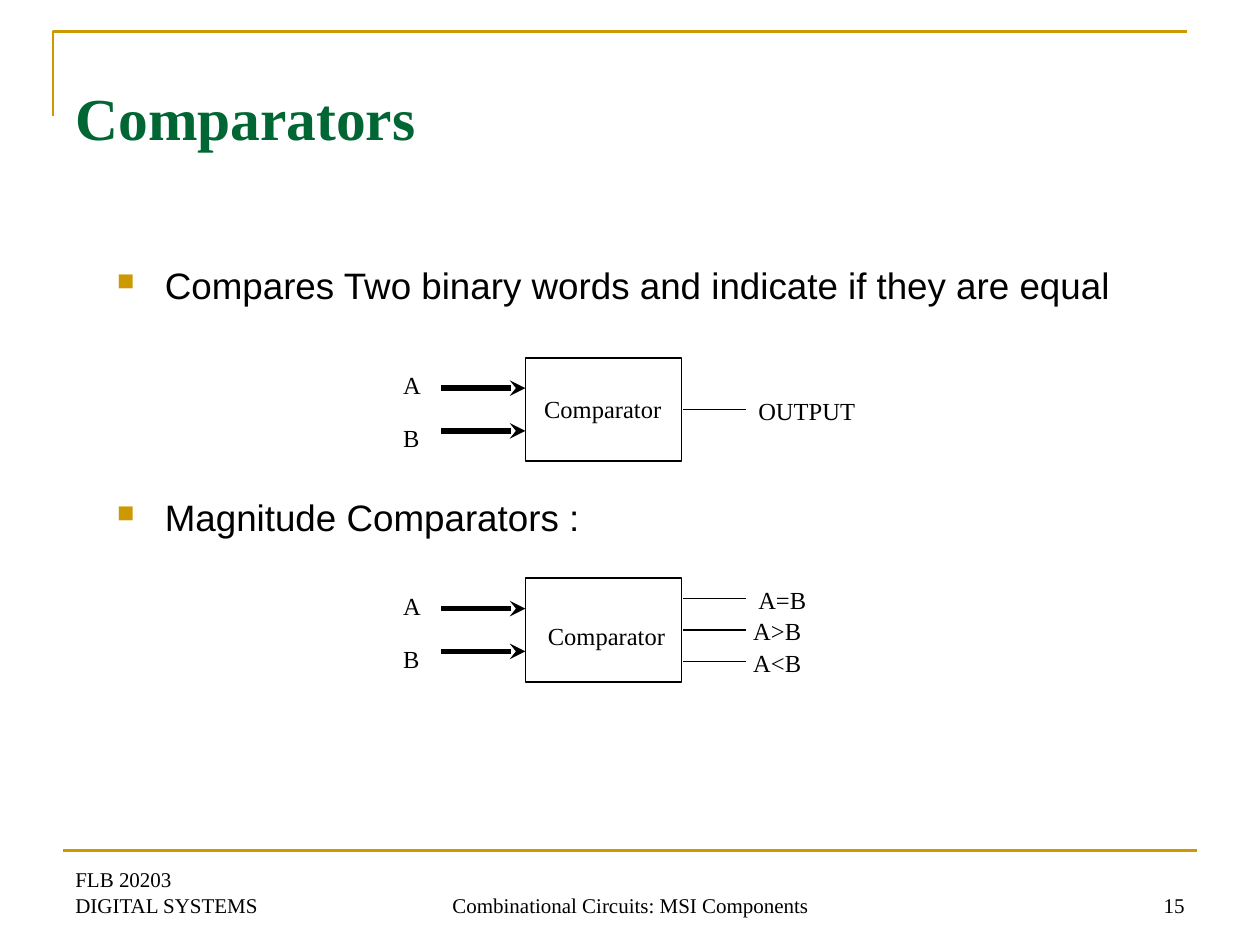
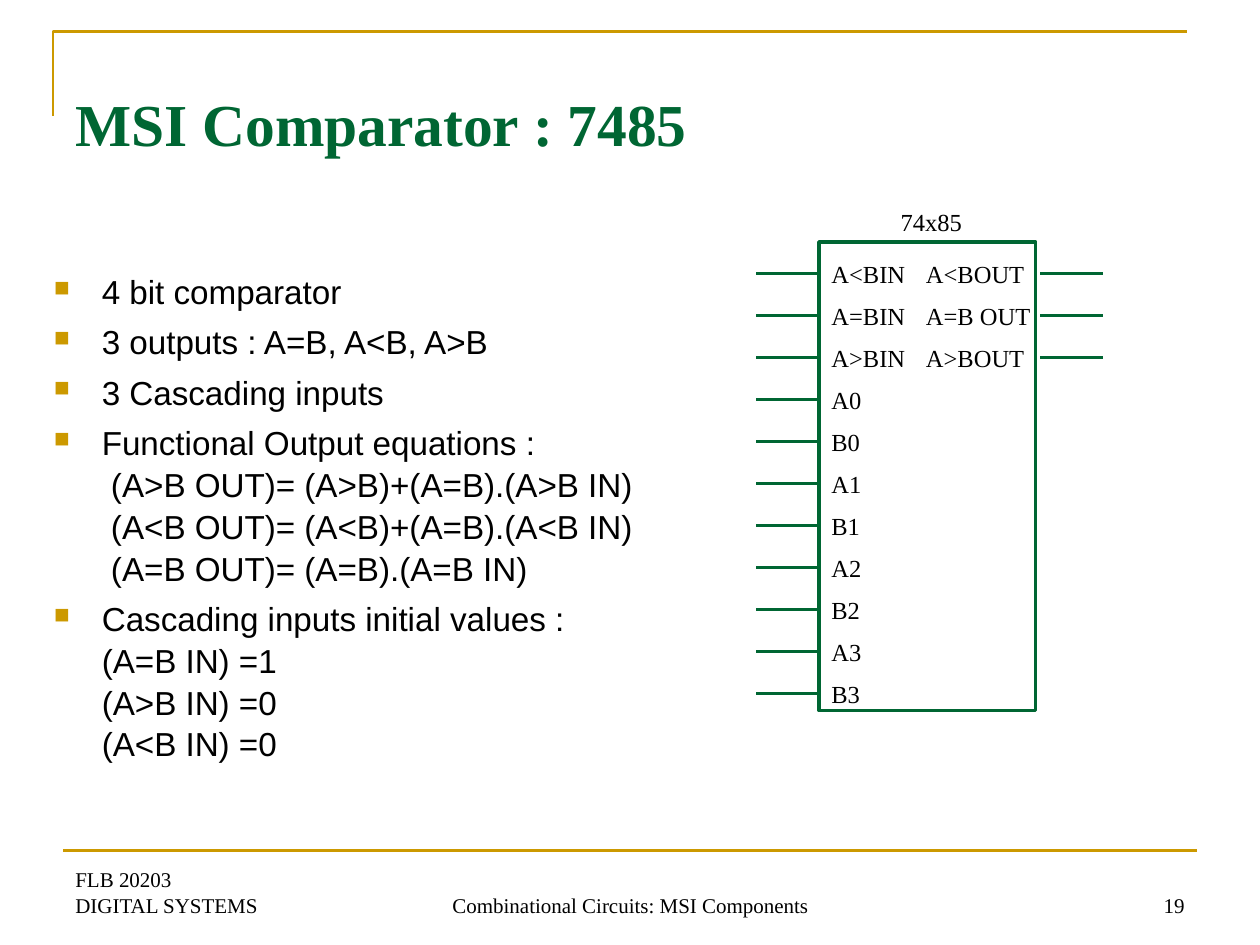
from typing import NamedTuple

from lxml import etree
from pptx import Presentation
from pptx.dml.color import RGBColor
from pptx.enum.shapes import MSO_CONNECTOR, MSO_SHAPE
from pptx.enum.text import MSO_ANCHOR, PP_ALIGN
from pptx.oxml.ns import qn
from pptx.util import Inches, Pt

GOLD = RGBColor(0xCC, 0x99, 0x00)
GREEN = RGBColor(0x00, 0x66, 0x33)
BLACK = RGBColor(0x00, 0x00, 0x00)
SERIF, SANS = "Times New Roman", "Arial"
STRAIGHT, RECTANGLE = MSO_CONNECTOR.STRAIGHT, MSO_SHAPE.RECTANGLE
LEFT, CENTER, RIGHT = PP_ALIGN.LEFT, PP_ALIGN.CENTER, PP_ALIGN.RIGHT
TOP, MIDDLE, BOTTOM = MSO_ANCHOR.TOP, MSO_ANCHOR.MIDDLE, MSO_ANCHOR.BOTTOM
TITLE_ONLY = 5
PIN_PITCH = 1 / 3


class Box(NamedTuple):
    left: float
    top: float
    width: float
    height: float

    def emu(self) -> list:
        return [Inches(v) for v in self]


class Label(NamedTuple):
    text: str
    box: Box


class Footer(NamedTuple):
    text: str
    box: Box
    align: PP_ALIGN


class Output(NamedTuple):
    label: Label
    y: float


class Comparator(NamedTuple):
    top: float
    name: Label
    outputs: list[Output]


def style_text(tf, size: float, font: str, color: RGBColor, bold: bool = False) -> None:
    for p in tf.paragraphs:
        for r in p.runs:
            r.font.size = Pt(size)
            r.font.name = font
            r.font.bold = bold
            r.font.color.rgb = color


def add_text(s, text: str, box: Box, size: float = 14, align: PP_ALIGN = LEFT,
             anchor: MSO_ANCHOR = TOP) -> None:
    tf = s.shapes.add_textbox(*box.emu()).text_frame
    tf.word_wrap = True
    tf.vertical_anchor = anchor
    tf.text = text
    tf.paragraphs[0].alignment = align
    style_text(tf, size, SERIF, BLACK)


def add_line(s, x1: float, y1: float, x2: float, y2: float, color: RGBColor,
             width: float, arrow: bool = False) -> None:
    line = s.shapes.add_connector(STRAIGHT, *map(Inches, (x1, y1, x2, y2)))
    line.line.color.rgb = color
    line.line.width = Pt(width)
    if arrow:
        etree.SubElement(line.line._get_or_add_ln(), qn("a:headEnd"), type="stealth")
    etree.SubElement(line._element.spPr, qn("a:effectLst"))


def outline(sp, color: RGBColor, width: float) -> None:
    sp.shadow.inherit = False
    sp.fill.background()
    sp.line.color.rgb = color
    sp.line.width = Pt(width)


def add_block(s, box: Box, color: RGBColor, width: float) -> None:
    outline(s.shapes.add_shape(RECTANGLE, *box.emu()), color, width)


def add_bullets(s, items: list[str], box: Box, size: float, gap: float) -> None:
    tf = s.shapes.add_textbox(*box.emu()).text_frame
    tf.word_wrap = True
    tf.text = "\n".join(items)
    for i, p in enumerate(tf.paragraphs):
        pPr = p._p.get_or_add_pPr()
        pPr.set("marL", str(Inches(0.38)))
        pPr.set("indent", str(-Inches(0.38)))
        color = etree.SubElement(pPr, qn("a:buClr"))
        etree.SubElement(color, qn("a:srgbClr"), val=str(GOLD))
        etree.SubElement(pPr, qn("a:buSzPct"), val="65000")
        etree.SubElement(pPr, qn("a:buChar"), char="■")
        p.line_spacing = 1.05
        if i:
            p.space_before = Pt(gap)
    style_text(tf, size, SANS, BLACK)


def add_base_slide(prs, title: str, number: int, title_top: float):
    s = prs.slides.add_slide(prs.slide_layouts[TITLE_ONLY])
    builder = s.shapes.build_freeform(Inches(0.42), Inches(0.92))
    builder.add_line_segments(
        [(Inches(0.42), Inches(0.25)), (Inches(9.42), Inches(0.25))], close=False)
    outline(builder.convert_to_shape(), GOLD, 1.5)
    add_line(s, 0.5, 6.75, 9.5, 6.75, GOLD, 1.5)

    footers = [
        Footer("FLB 20203\vDIGITAL SYSTEMS", Box(0.5, 6.83, 2.33, 0.5), LEFT),
        Footer("Combinational Circuits: MSI Components", Box(3.42, 6.83, 3.17, 0.5), CENTER),
        Footer(str(number), Box(7.17, 6.83, 2.33, 0.5), RIGHT),
    ]
    for footer in footers:
        add_text(s, footer.text, footer.box, 12, footer.align, BOTTOM)

    sp = s.shapes.title
    sp.left, sp.top, sp.width, sp.height = Box(0.5, title_top, 9, 1.25).emu()
    tf = sp.text_frame
    tf.text = title
    tf.vertical_anchor = MIDDLE
    tf.paragraphs[0].alignment = LEFT
    style_text(tf, 34, SERIF, GREEN, bold=True)
    return s


def add_comparator(s, c: Comparator) -> None:
    add_block(s, Box(4.17, c.top, 1.24, 0.82), BLACK, 1)
    for i, name in enumerate("AB"):
        y = c.top + 0.24 + 0.34 * i
        add_line(s, 4.17, y, 3.5, y, BLACK, 3, arrow=True)
        add_text(s, name, Box(3.1, c.top + 0.05 + 0.42 * i, 0.48, 0.33))
    add_text(s, c.name.text, c.name.box)
    for output in c.outputs:
        add_line(s, 5.92, output.y, 5.42, output.y, BLACK, 1)
        add_text(s, output.label.text, output.label.box)


def add_pins(s, names: list[str], label_left: float, label_width: float,
             line_left: float) -> None:
    for i, name in enumerate(names):
        y = 2.17 + PIN_PITCH * i
        add_line(s, line_left + 0.5, y, line_left, y, GREEN, 2)
        add_text(s, name, Box(label_left, y - 0.16, label_width, 0.33))


def build_comparators(prs) -> None:
    s = add_base_slide(prs, "Comparators", 15, 0.3)
    add_bullets(s, ["Compares Two binary words and indicate if they are equal",
                    "Magnitude Comparators :"], Box(0.83, 2.02, 8.5, 4.5), 21, 106)
    comparators = [
        Comparator(2.84, Label("Comparator", Box(4.22, 3.08, 1.2, 0.33)),
                   [Output(Label("OUTPUT", Box(5.92, 3.09, 1, 0.33)), 3.25)]),
        Comparator(4.59, Label("Comparator", Box(4.25, 4.88, 1.2, 0.33)),
                   [Output(Label("A=B", Box(5.92, 4.59, 1, 0.33)), 4.75),
                    Output(Label("A>B", Box(5.88, 4.84, 1, 0.33)), 5),
                    Output(Label("A<B", Box(5.88, 5.09, 1, 0.33)), 5.25)]),
    ]
    for comparator in comparators:
        add_comparator(s, comparator)


def build_msi_comparator(prs) -> None:
    s = add_base_slide(prs, "MSI Comparator : 7485", 19, 0.35)
    add_bullets(s, [
        "4 bit comparator",
        "3 outputs : A=B, A<B, A>B",
        "3 Cascading inputs",
        "Functional Output equations :\v (A>B OUT)= (A>B)+(A=B).(A>B IN)"
        "\v (A<B OUT)= (A<B)+(A=B).(A<B IN)\v (A=B OUT)= (A=B).(A=B IN)",
        "Cascading inputs initial values :\v(A=B IN) =1\v(A>B IN) =0\v(A<B IN) =0",
    ], Box(0.33, 2.09, 8.5, 4.5), 19, 4.8)
    add_block(s, Box(6.5, 1.92, 1.72, 3.72), GREEN, 2)
    add_text(s, "74x85", Box(7.05, 1.59, 0.87, 0.33))
    data_pins = [f"{word}{bit}" for bit in range(4) for word in "AB"]
    add_pins(s, ["A<BIN", "A=BIN", "A>BIN"] + data_pins, 6.5, 0.92, 6)
    add_pins(s, ["A<BOUT", "A=B OUT", "A>BOUT"], 7.25, 1.17, 8.25)


def main() -> None:
    prs = Presentation()
    prs.slide_width, prs.slide_height = Inches(10), Inches(7.5)
    build_comparators(prs)
    build_msi_comparator(prs)
    prs.save("out.pptx")


if __name__ == "__main__":
    main()
